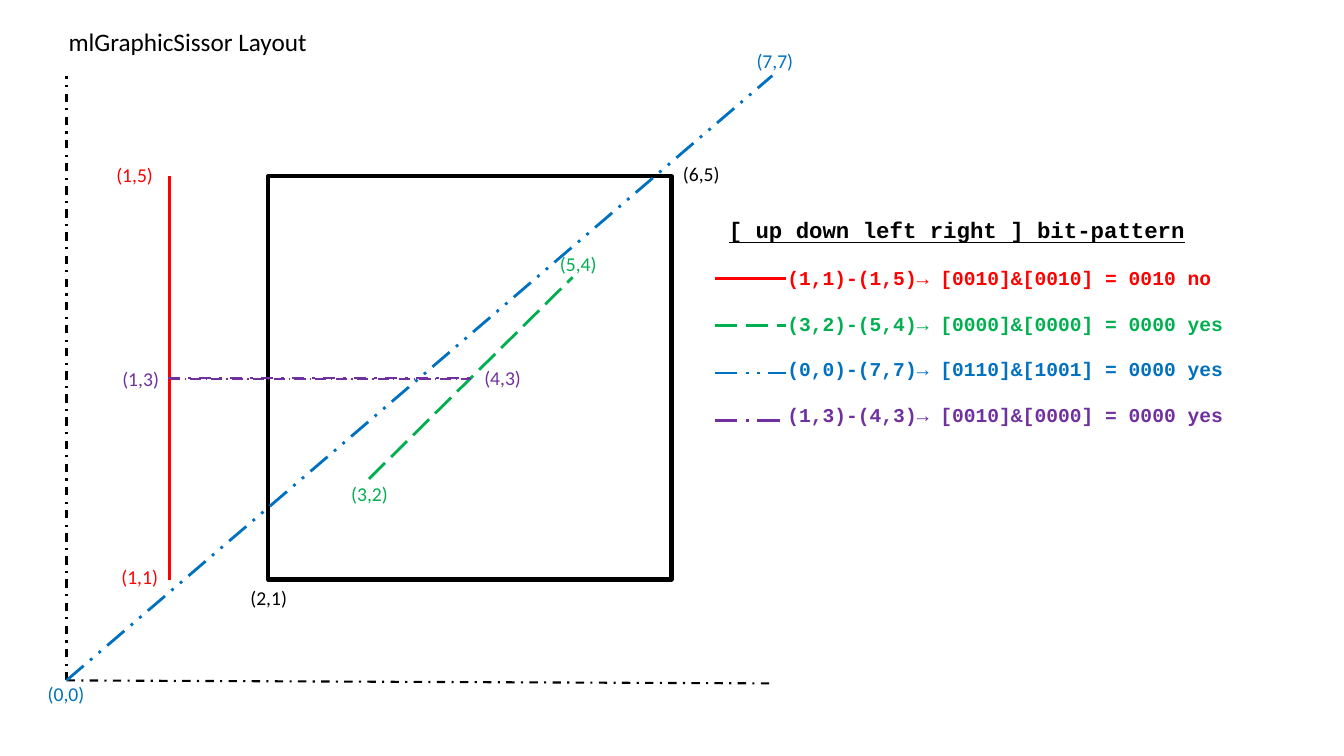
from lxml import etree
from pptx import Presentation
from pptx.dml.color import RGBColor
from pptx.enum.dml import MSO_LINE_DASH_STYLE as Dash
from pptx.enum.shapes import MSO_CONNECTOR as Connector, MSO_SHAPE as Preset
from pptx.enum.text import MSO_ANCHOR as Anchor, MSO_AUTO_SIZE as AutoSize, PP_ALIGN as Align
from pptx.oxml.ns import qn
from pptx.util import Inches, Pt

COLOURS = {"black": "000000", "red": "FF0000", "green": "00B050",
           "blue": "0070C0", "purple": "7030A0"}
ORIGIN_X, ORIGIN_Y = 0.66, 6.75  # one grid unit is one inch
KEY_X, KEY_Y, KEY_LENGTH, KEY_PITCH = 7.09, 2.76, 0.71, 0.47

# start, end, colour, width, dash
SEGMENTS = [
    ((0, 0), (7, -0.03), "black", 1.5, Dash.DASH_DOT),
    ((0, 0), (0, 6), "black", 1.5, Dash.DASH_DOT),
    ((3, 2), (5.02, 4), "green", 2, Dash.LONG_DASH),
    ((1.02, 2.99), (4.01, 2.99), "purple", 1, Dash.LONG_DASH_DOT),
    ((1.02, 1), (1.02, 5), "red", 2, None),
    ((0, 0), (7, 6), "blue", 2, Dash.DASH_DOT_DOT),
    ((1.01, 3), (4.01, 3), "purple", 2, Dash.DASH_DOT),
]

# text, grid position of its centre, colour
POINT_LABELS = [
    ("(0,0)", (0, -0.14), "blue"),
    ("(5,4)", (5.08, 4.13), "green"),
    ("(3,2)", (3.01, 1.85), "green"),
    ("(7,7)", (7.03, 6.14), "blue"),
    ("(4,3)", (4.33, 3), "purple"),
    ("(1,5)", (0.68, 5.01), "red"),
    ("(1,1)", (0.73, 1.02), "red"),
    ("(6,5)", (6.3, 5.02), "black"),
    ("(2,1)", (2.01, 0.82), "black"),
    ("(1,3)", (0.74, 2.99), "purple"),
]

BIT_PATTERNS = [
    ("(1,1)-(1,5)→ [0010]&[0010] = 0010 no", "red", None),
    ("(3,2)-(5,4)→ [0000]&[0000] = 0000 yes", "green", Dash.LONG_DASH),
    ("(0,0)-(7,7)→ [0110]&[1001] = 0000 yes", "blue", Dash.DASH_DOT_DOT),
    ("(1,3)-(4,3)→ [0010]&[0000] = 0000 yes", "purple", Dash.LONG_DASH_DOT),
]


def rgb(colour):
    return RGBColor.from_string(COLOURS[colour])


def on_slide(point):
    """Turn grid coordinates, with y upwards, into inches on the slide."""
    column, row = point
    return ORIGIN_X + column, ORIGIN_Y - row


def add_run(paragraph, text, colour, size, font="Calibri", bold=False, underline=False):
    run = paragraph.add_run()
    run.text = text
    run.font.name, run.font.size = font, Pt(size)
    run.font.bold, run.font.underline = bold, underline
    run.font.color.rgb = rgb(colour)


def add_line(slide, start, end, colour, width, dash=None):
    line = slide.shapes.add_connector(
        Connector.STRAIGHT, *(Inches(value) for value in (*start, *end)))
    line.line.color.rgb = rgb(colour)
    line.line.width = Pt(width)
    if dash:
        line.line.dash_style = dash
    etree.SubElement(line._element.spPr, qn("a:effectLst"))


def add_title(slide, text):
    title = slide.shapes.title
    title.left, title.top, title.width, title.height = map(Inches, (0.58, 0.21, 2.59, 0.4))
    frame = title.text_frame
    frame.word_wrap = False
    frame.vertical_anchor = Anchor.TOP
    frame.auto_size = AutoSize.SHAPE_TO_FIT_TEXT
    frame.paragraphs[0].alignment = Align.LEFT
    add_run(frame.paragraphs[0], text, "black", 18)


def add_window(slide, lower_left, upper_right):
    left, bottom = on_slide(lower_left)
    right, top = on_slide(upper_right)
    window = slide.shapes.add_shape(
        Preset.RECTANGLE, Inches(left), Inches(top), Inches(right - left), Inches(bottom - top))
    window.shadow.inherit = False
    window.fill.background()
    window.line.color.rgb = rgb("black")
    window.line.width = Pt(3)


def add_point_label(slide, text, centre, colour):
    x, y = on_slide(centre)
    width, height = 0.57, 0.34
    label = slide.shapes.add_textbox(
        Inches(x - width / 2), Inches(y - height / 2), Inches(width), Inches(height))
    label.text_frame.word_wrap = False
    label.text_frame.auto_size = AutoSize.SHAPE_TO_FIT_TEXT
    add_run(label.text_frame.paragraphs[0], text, colour, 14)


def add_underline_tab(paragraph, position):
    """Set a tab stop up to which the heading's underline runs."""
    stops = etree.SubElement(paragraph._p.get_or_add_pPr(), qn("a:tabLst"))
    etree.SubElement(stops, qn("a:tab"), pos=str(Inches(position)), algn="l")


def add_legend(slide):
    box = slide.shapes.add_textbox(Inches(7.13), Inches(2.1), Inches(5.48), Inches(2.26))
    frame = box.text_frame
    frame.word_wrap = True
    frame.auto_size = AutoSize.SHAPE_TO_FIT_TEXT
    heading = frame.paragraphs[0]
    add_underline_tab(heading, 5.04)
    add_run(heading, "[ up down left right ] bit-pattern\t", "black", 16,
            "Courier New", bold=True, underline=True)
    for index, (text, colour, dash) in enumerate(BIT_PATTERNS):
        entry = frame.add_paragraph()
        entry.space_before = Pt(15.9)
        entry._p.get_or_add_pPr().set("marL", str(Inches(0.58)))
        add_run(entry, text, colour, 14, "Courier New", bold=True)
        y = KEY_Y + index * KEY_PITCH
        add_line(slide, (KEY_X, y), (KEY_X + KEY_LENGTH, y), colour, 2, dash)


def main():
    deck = Presentation()
    deck.slide_width, deck.slide_height = Inches(13.33), Inches(7.5)
    slide = deck.slides.add_slide(deck.slide_layouts[5])
    add_title(slide, "mlGraphicSissor Layout")
    add_window(slide, (2, 1), (6, 5))
    for start, end, colour, width, dash in SEGMENTS:
        add_line(slide, on_slide(start), on_slide(end), colour, width, dash)
    for text, centre, colour in POINT_LABELS:
        add_point_label(slide, text, centre, colour)
    add_legend(slide)
    deck.save("out.pptx")


if __name__ == "__main__":
    main()
